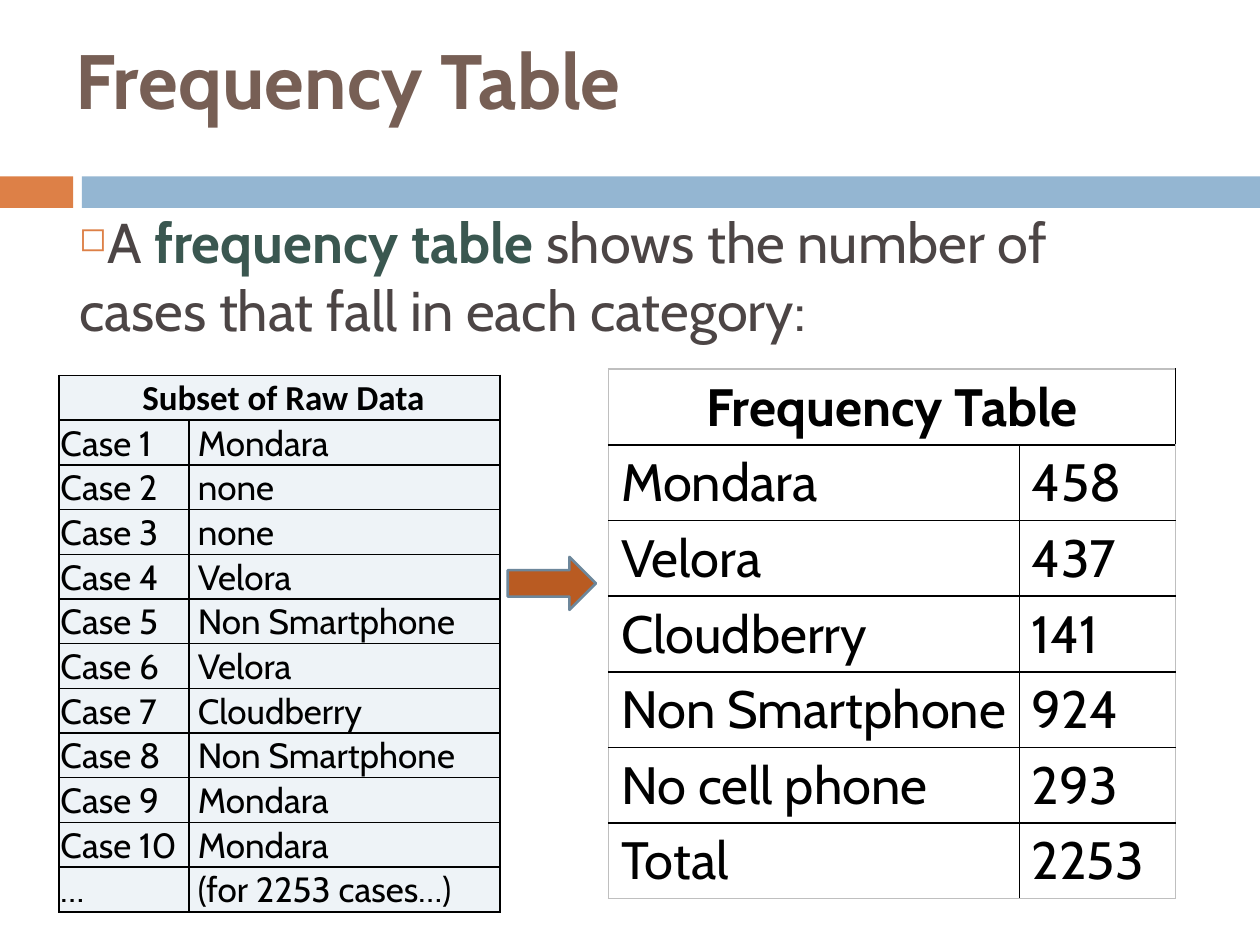
from dataclasses import dataclass

from lxml import etree
from pptx import Presentation
from pptx import util as u
from pptx.dml.color import RGBColor
from pptx.enum import shapes, text
from pptx.oxml.ns import qn

SLIDE_WIDTH, SLIDE_HEIGHT = u.Inches(10), u.Inches(7.5)
COLUMNS, ROWS = 100, 75
BLACK, ORANGE, BLUE, GREY = "000000", "DD8047", "94B6D2", "4C4545"


@dataclass(frozen=True)
class Area:
    """A place on the grid of 100 columns and 75 rows."""

    column: float
    row: float
    columns: float
    rows: float

    def lengths(self) -> tuple[int, int, int, int]:
        """Return left, top, width and height."""
        return across(self.column), down(self.row), across(self.columns), down(self.rows)


@dataclass(frozen=True)
class Style:
    """The look of a run of text."""

    size: float
    color: str = BLACK
    bold: bool = False
    font: str = "Cabin"


@dataclass(frozen=True)
class Block:
    """A filled preset shape."""

    area: Area
    fill: str
    kind: int = shapes.MSO_SHAPE.RECTANGLE
    outline: str | None = None


@dataclass(frozen=True)
class Listing:
    """A two-column table under one heading."""

    area: Area
    widths: tuple[float, float]
    heading: str
    records: tuple[tuple[str, str], ...]
    heading_style: Style
    body_style: Style
    frame: str
    fill: str | None
    indents: tuple[float, float]
    padding: tuple[float, float]
    anchor: int


BLOCKS = (
    Block(Area(0, 14, 5.8, 2.5), ORANGE),
    Block(Area(6.5, 14, 93.5, 2.5), BLUE),
    Block(Area(40.3, 44.2, 7, 4.2), "B95B22", shapes.MSO_SHAPE.RIGHT_ARROW, "6D879B"),
)
ANSWERS = (
    "Mondara", "none", "none", "Velora", "Non Smartphone",
    "Velora", "Cloudberry", "Non Smartphone", "Mondara", "Mondara",
)
FREQUENCIES = Listing(
    area=Area(48.3, 29.3, 45, 42),
    widths=(32.6, 12.4),
    heading="Frequency Table",
    records=(
        ("Mondara", "458"),
        ("Velora", "437"),
        ("Cloudberry", "141"),
        ("Non Smartphone", "924"),
        ("No cell phone", "293"),
        ("Total", "2253"),
    ),
    heading_style=Style(30, bold=True),
    body_style=Style(30),
    frame="BFBFBF",
    fill=None,
    indents=(1, 1),
    padding=(0.5, 0.5),
    anchor=text.MSO_ANCHOR.TOP,
)
RAW_DATA = Listing(
    area=Area(4.7, 29.8, 35, 42.6),
    widths=(10.3, 24.7),
    heading="Subset of Raw Data",
    records=tuple((f"Case {n}", answer) for n, answer in enumerate(ANSWERS, 1))
    + (("…", "(for 2253 cases…)"),),
    heading_style=Style(20, bold=True, font="Calibri"),
    body_style=Style(20),
    frame=BLACK,
    fill="EEF3F7",
    indents=(0.1, 0.7),
    padding=(0.1, 0),
    anchor=text.MSO_ANCHOR.BOTTOM,
)


def across(columns: float) -> int:
    """Turn grid columns into a length."""
    return round(SLIDE_WIDTH * columns / COLUMNS)


def down(rows: float) -> int:
    """Turn grid rows into a length."""
    return round(SLIDE_HEIGHT * rows / ROWS)


def paint(color_format, color: str) -> None:
    """Give a fill or font colour a hex value."""
    color_format.rgb = RGBColor.from_string(color)


def format_run(run, style: Style) -> None:
    """Apply a style to a run."""
    run.font.name, run.font.size, run.font.bold = style.font, u.Pt(style.size), style.bold
    paint(run.font.color, style.color)


def draw_block(slide, block: Block) -> None:
    """Draw a filled preset shape."""
    shape = slide.shapes.add_shape(block.kind, *block.area.lengths())
    shape.shadow.inherit = False
    shape.fill.solid()
    paint(shape.fill.fore_color, block.fill)
    if block.outline:
        paint(shape.line.color, block.outline)
        shape.line.width = u.Pt(1.5)
    else:
        shape.line.fill.background()


def add_bullet(paragraph, mark: str, color: str, percent: int) -> None:
    """Put a coloured bullet before a paragraph."""
    properties = paragraph._p.get_or_add_pPr()
    properties.set("marL", "0")
    properties.set("indent", str(-across(5.6)))
    bullet_color = etree.SubElement(properties, qn("a:buClr"))
    etree.SubElement(bullet_color, qn("a:srgbClr"), val=color)
    etree.SubElement(properties, qn("a:buSzPct"), val=str(percent * 1000))
    etree.SubElement(properties, qn("a:buChar"), char=mark)


def draw_text(slide, area: Area, pieces: tuple[tuple[str, Style], ...],
              anchor: int = text.MSO_ANCHOR.TOP, bullet: str | None = None) -> None:
    """Draw one paragraph of styled pieces."""
    frame = slide.shapes.add_textbox(*area.lengths()).text_frame
    frame.word_wrap = True
    frame.vertical_anchor = anchor
    paragraph = frame.paragraphs[0]
    if bullet:
        add_bullet(paragraph, bullet, ORANGE, 60)
    for wording, style in pieces:
        run = paragraph.add_run()
        run.text = wording
        format_run(run, style)


def add_borders(cell, colors: dict[str, str]) -> None:
    """Draw one-point lines on the named sides of a cell."""
    properties = cell._tc.get_or_add_tcPr()
    for side, color in colors.items():
        line = etree.SubElement(properties, qn(f"a:ln{side}"), w=str(u.Pt(1)))
        fill = etree.SubElement(line, qn("a:solidFill"))
        etree.SubElement(fill, qn("a:srgbClr"), val=color)


def draw_listing(slide, listing: Listing) -> None:
    """Draw a table with a heading merged across both columns."""
    records = ((listing.heading, ""),) + listing.records
    last = len(records) - 1
    table = slide.shapes.add_table(len(records), 2, *listing.area.lengths()).table
    table.first_row = table.horz_banding = False
    for column, width in zip(table.columns, listing.widths):
        column.width = across(width)
    for row in table.rows:
        row.height = down(listing.area.rows / len(records))
    table.cell(0, 0).merge(table.cell(0, 1))
    for r, record in enumerate(records):
        for c, wording in enumerate(record):
            cell = table.cell(r, c)
            edges = {"L": c == 0, "R": c == 1, "T": r == 0, "B": r == last}
            add_borders(cell, {s: listing.frame if e else BLACK for s, e in edges.items()})
            if listing.fill:
                cell.fill.solid()
                paint(cell.fill.fore_color, listing.fill)
            else:
                cell.fill.background()
            cell.margin_left = across(listing.indents[c if r else 1])
            cell.margin_right = across(listing.indents[0])
            cell.margin_top, cell.margin_bottom = map(down, listing.padding)
            cell.vertical_anchor = listing.anchor
            if not wording:
                continue
            cell.text_frame.text = wording
            paragraph = cell.text_frame.paragraphs[0]
            paragraph.alignment = text.PP_ALIGN.LEFT if r else text.PP_ALIGN.CENTER
            format_run(paragraph.runs[0], listing.body_style if r else listing.heading_style)


def main() -> None:
    """Build the slide and save it."""
    deck = Presentation()
    deck.slide_width, deck.slide_height = SLIDE_WIDTH, SLIDE_HEIGHT
    slide = deck.slides.add_slide(deck.slide_layouts[6])
    for block in BLOCKS:
        draw_block(slide, block)
    title = (("Frequency Table", Style(44, "775F55", True)),)
    draw_text(slide, Area(5, 0, 90, 12.5), title, text.MSO_ANCHOR.MIDDLE)
    definition = (
        ("A ", Style(32, GREY)),
        ("frequency table ", Style(32, "3A5750", True)),
        ("shows the number of cases that fall in each category:", Style(32, GREY)),
    )
    draw_text(slide, Area(5.3, 16, 86.7, 11.8), definition, bullet="◻")
    for listing in (FREQUENCIES, RAW_DATA):
        draw_listing(slide, listing)
    deck.save("out.pptx")


if __name__ == "__main__":
    main()
